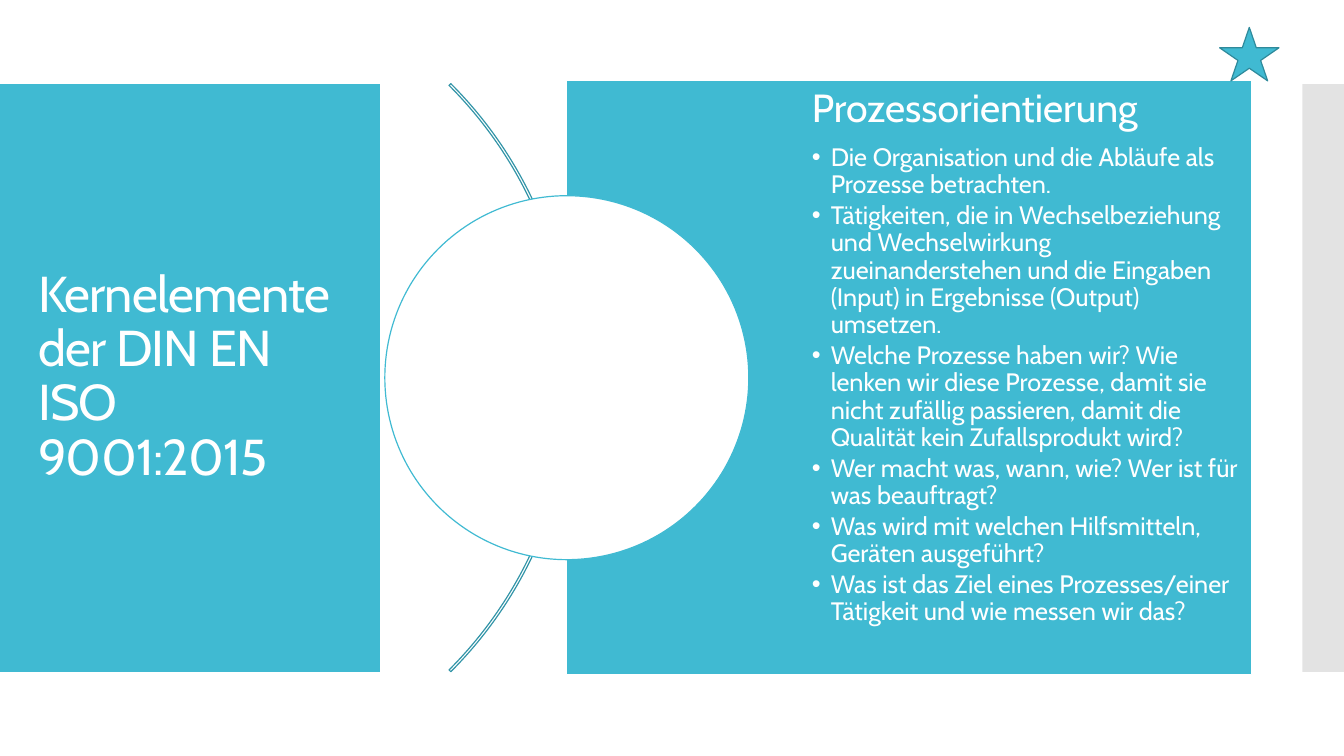
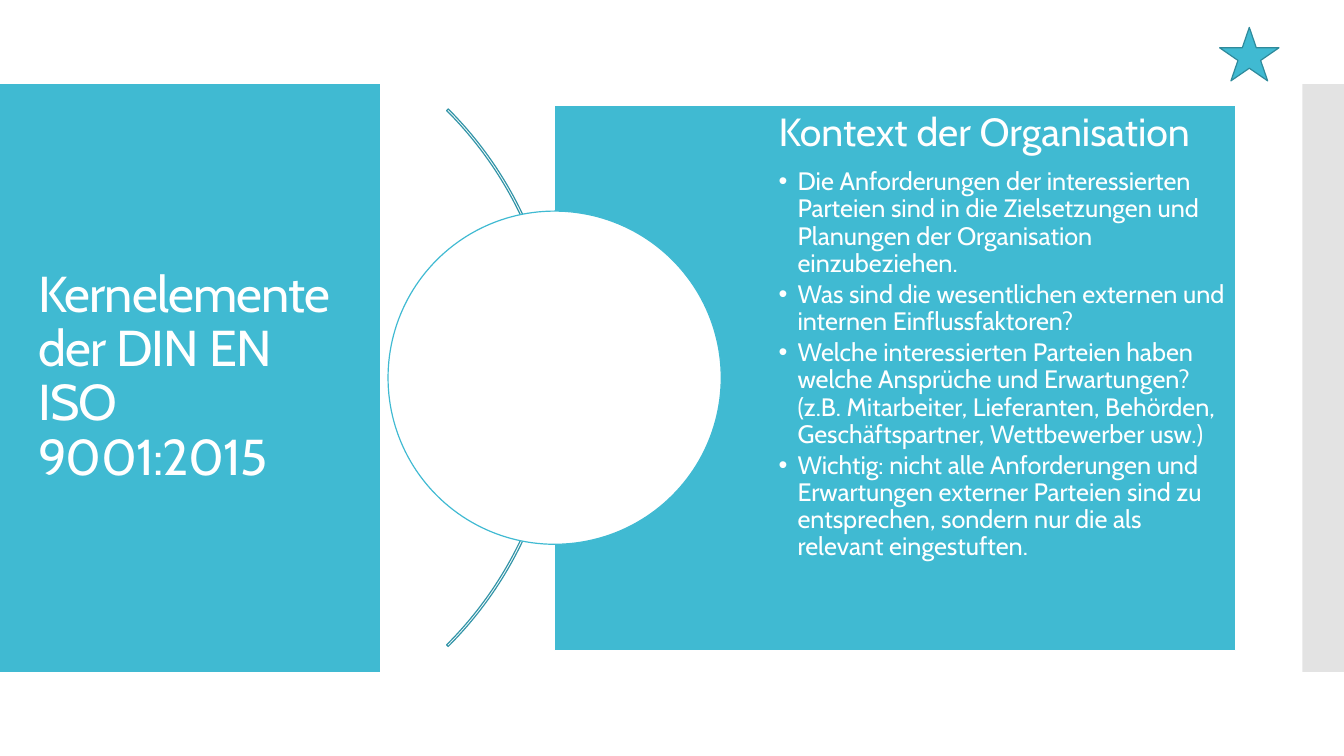
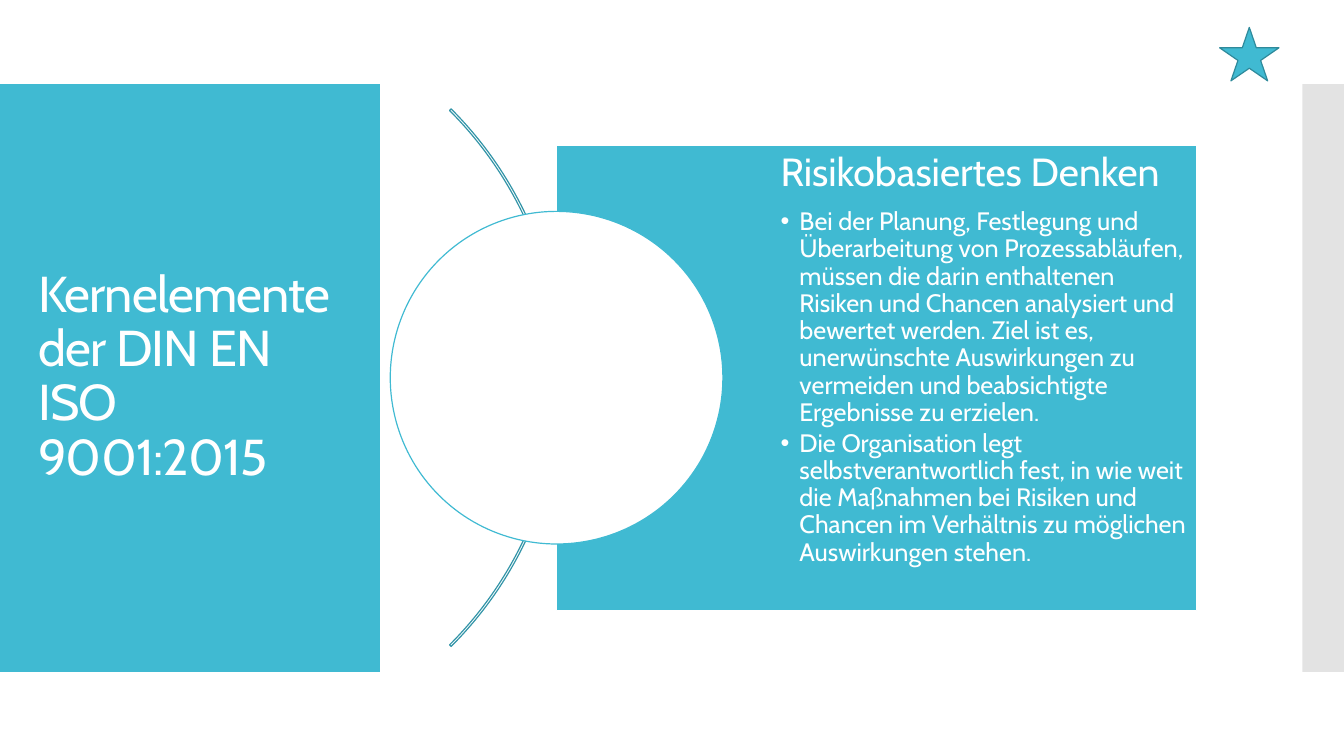
"""Build three slides on the core elements of DIN EN ISO 9001:2015."""
import copy
from dataclasses import dataclass

import lxml.etree
import pptx
import pptx.dml.color
import pptx.enum.shapes
import pptx.enum.text
import pptx.oxml.ns
import pptx.util

Pt = pptx.util.Pt
qn = pptx.oxml.ns.qn
SHAPES = pptx.enum.shapes.MSO_SHAPE


@dataclass(frozen=True)
class Theme:
    """Colours, type and measures shared by all slides."""
    accent: str = "40BAD2"
    arc_line: str = "3395A8"
    star_line: str = "2F8A9B"
    white: str = "FFFFFF"
    grey: str = "C8C8C8"
    font: str = "Cabin"
    title_size: float = 36
    heading_size: float = 28
    item_size: float = 18
    line_width: float = 0.85
    line_spacing: float = 0.9
    indent: float = 13.5
    inset: float = 5.6
    middle: float = 269.8


THEME = Theme()
TITLE = "Kernelemente der DIN EN ISO 9001:2015"
TOPICS = [
    {
        "heading": "Prozessorientierung",
        "items": [
            "Die Organisation und die Abläufe als Prozesse betrachten.",
            "Tätigkeiten, die in Wechselbeziehung und Wechselwirkung zueinanderstehen "
            "und die Eingaben (Input) in Ergebnisse (Output) umsetzen.",
            "Welche Prozesse haben wir? Wie lenken wir diese Prozesse, damit sie nicht "
            "zufällig passieren, damit die Qualität kein Zufallsprodukt wird?",
            "Wer macht was, wann, wie? Wer ist für was beauftragt?",
            "Was wird mit welchen Hilfsmitteln, Geräten ausgeführt?",
            "Was ist das Ziel eines Prozesses/einer Tätigkeit und wie messen wir das?",
        ],
        "panel": (404.9, 489, 424.2), "text_inset": 175,
        "circle": 260, "arc": 594, "arc_centre": 112,
    },
    {
        "heading": "Kontext der Organisation",
        "items": [
            "Die Anforderungen der interessierten Parteien sind in die Zielsetzungen und "
            "Planungen der Organisation einzubeziehen.",
            "Was sind die wesentlichen externen und internen Einflussfaktoren?",
            "Welche interessierten Parteien haben welche Ansprüche und Erwartungen?\n"
            "(z.B. Mitarbeiter, Lieferanten, Behörden, Geschäftspartner, Wettbewerber usw.)",
            "Wichtig: nicht alle Anforderungen und Erwartungen externer Parteien sind zu "
            "entsprechen, sondern nur die als relevant eingestuften.",
        ],
        "panel": (396.2, 486.4, 389.6), "text_inset": 160,
        "circle": 238, "arc": 543, "arc_centre": 128.2,
    },
    {
        "heading": "Risikobasiertes Denken",
        "items": [
            "Bei der Planung, Festlegung und Überarbeitung von Prozessabläufen, müssen die "
            "darin enthaltenen Risiken und Chancen analysiert und bewertet werden. Ziel ist "
            "es, unerwünschte Auswirkungen zu vermeiden und beabsichtigte Ergebnisse zu "
            "erzielen.",
            "Die Organisation legt selbstverantwortlich fest, in wie weit die Maßnahmen bei "
            "Risiken und Chancen im Verhältnis zu möglichen Auswirkungen stehen.",
        ],
        "panel": (397.6, 457.2, 332.4), "text_inset": 160,
        "circle": 237.6, "arc": 543, "arc_centre": 130.3,
    },
]


def rgb(colour):
    """Return the colour object of a hex value."""
    return pptx.dml.color.RGBColor.from_string(colour)


def set_values(target, values):
    """Set each attribute named in the dict."""
    for name, value in values.items():
        setattr(target, name, value)


def place(shape, left, top, width, height):
    """Position a shape, in points."""
    box = {"left": left, "top": top, "width": width, "height": height}
    set_values(shape, {name: Pt(value) for name, value in box.items()})


def paint(shape, fill, line):
    """Give a shape its fill and outline, or none."""
    if fill:
        shape.fill.solid()
        shape.fill.fore_color.rgb = rgb(fill)
    else:
        shape.fill.background()
    if line:
        shape.line.color.rgb = rgb(line)
        shape.line.width = Pt(THEME.line_width)
    else:
        shape.line.fill.background()


def add_figure(slide, preset, box, fill=None, line=None):
    """Add a flat preset shape."""
    figure = slide.shapes.add_shape(preset, *(Pt(value) for value in box))
    figure.shadow.inherit = False
    paint(figure, fill, line)
    return figure


def centred_box(centre, size):
    """Return a square box around a point on the middle line."""
    return centre - size / 2, THEME.middle - size / 2, size, size


def set_bullet(paragraph, char, indent):
    """Set the hanging indent and the bullet, or no bullet."""
    properties = paragraph._p.get_or_add_pPr()
    properties.set("marL", str(Pt(indent)))
    properties.set("indent", str(-Pt(indent)))
    if char:
        lxml.etree.SubElement(properties, qn("a:buChar")).set("char", char)
    else:
        lxml.etree.SubElement(properties, qn("a:buNone"))


def write(paragraph, text, size, space_after=0):
    """Write left-aligned white text into a paragraph."""
    paragraph.text = text
    set_values(paragraph, {
        "alignment": pptx.enum.text.PP_ALIGN.LEFT,
        "line_spacing": THEME.line_spacing,
        "space_before": Pt(0),
        "space_after": Pt(space_after),
    })
    for run in paragraph.runs:
        set_values(run.font, {"name": THEME.font, "size": Pt(size)})
        run.font.color.rgb = rgb(THEME.white)
    for line_break in paragraph._p.findall(qn("a:br")):
        line_break.append(copy.deepcopy(paragraph.runs[0].font._element))


def add_bands(slide, layout):
    """Put the side bands on the layout, behind its placeholders."""
    title_band = add_figure(slide, SHAPES.RECTANGLE, (0, 60, 271.4, 420), THEME.accent)
    edge_band = add_figure(slide, SHAPES.RECTANGLE, (930.4, 60, 29.6, 420), THEME.grey)
    edge_colour = edge_band.element.find(".//" + qn("a:srgbClr"))
    lxml.etree.SubElement(edge_colour, qn("a:alpha")).set("val", "50000")
    for band in (title_band, edge_band):
        layout.shapes.element.insert(2, band.element)


def write_title(title):
    """Fill the title placeholder."""
    frame = title.text_frame
    set_values(frame, {
        "vertical_anchor": pptx.enum.text.MSO_ANCHOR.MIDDLE,
        "auto_size": pptx.enum.text.MSO_AUTO_SIZE.NONE,
        "word_wrap": True,
    })
    write(frame.paragraphs[0], TITLE, THEME.title_size)
    for run in frame.paragraphs[0].runs:
        run.font._element.set("spc", "-60")


def write_panel(panel, topic):
    """Fill the body placeholder with a heading and its list."""
    left, width, height = topic["panel"]
    place(panel, left, THEME.middle - height / 2, width, height)
    paint(panel, THEME.accent, THEME.white)
    frame = panel.text_frame
    set_values(frame, {
        "margin_left": Pt(topic["text_inset"]),
        "margin_top": Pt(THEME.inset),
        "margin_right": Pt(THEME.inset),
        "margin_bottom": Pt(THEME.inset),
        "vertical_anchor": pptx.enum.text.MSO_ANCHOR.TOP,
        "auto_size": pptx.enum.text.MSO_AUTO_SIZE.NONE,
        "word_wrap": True,
    })
    heading = frame.paragraphs[0]
    set_bullet(heading, None, 0)
    write(heading, topic["heading"], THEME.heading_size, 0.35 * THEME.heading_size)
    for text in topic["items"]:
        item = frame.add_paragraph()
        item.level = 1
        set_bullet(item, "•", THEME.indent)
        write(item, text, THEME.item_size, 0.15 * THEME.item_size)


def add_topic(slide, topic):
    """Build one topic slide."""
    write_title(slide.shapes.title)
    write_panel(slide.placeholders[1], topic)
    arc = add_figure(slide, SHAPES.BLOCK_ARC,
                     centred_box(topic["arc_centre"], topic["arc"]), line=THEME.arc_line)
    for index, value in enumerate((189, 27, 0.003)):
        arc.adjustments[index] = value
    add_figure(slide, SHAPES.OVAL, centred_box(topic["panel"][0], topic["circle"]),
               THEME.white, THEME.accent)
    add_figure(slide, SHAPES.STAR_5_POINT, (871.2, 19.6, 42.4, 38.2),
               THEME.accent, THEME.star_line)


def main():
    """Build and save the presentation."""
    deck = pptx.Presentation()
    set_values(deck, {"slide_width": Pt(960), "slide_height": Pt(540)})
    layout = deck.slide_layouts[1]
    place(layout.placeholders[0], 20, 88.6, 232, 362)
    slides = [deck.slides.add_slide(layout) for _ in TOPICS]
    add_bands(slides[0], layout)
    for slide, topic in zip(slides, TOPICS):
        add_topic(slide, topic)
    deck.save("out.pptx")


if __name__ == "__main__":
    main()
